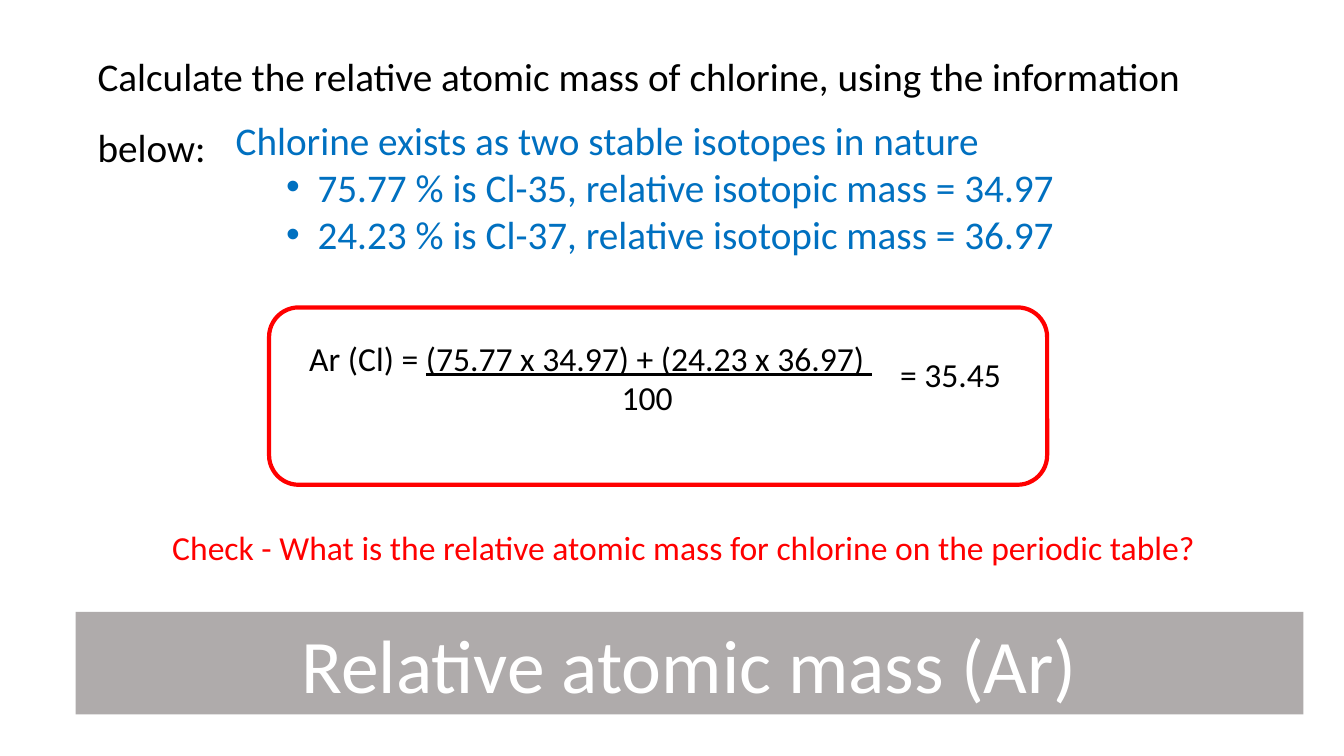
import pptx
import pptx.dml.color
import pptx.enum.shapes
import pptx.enum.text
import pptx.oxml.ns
import pptx.util
from lxml import etree

Pt = pptx.util.Pt
SHAPE = pptx.enum.shapes.MSO_SHAPE
ANCHOR = pptx.enum.text.MSO_ANCHOR
ALIGN = pptx.enum.text.PP_ALIGN

# Content: a paragraph is a list of (text, underlined) runs
TITLE = [[("Relative atomic mass (Ar)", False)]]
TASK = [[("Calculate the relative atomic mass of chlorine, using the information below:", False)]]
FRACTION_TOP = [[("Ar (Cl) = ", False), ("(75.77 x 34.97) + (24.23 x 36.97) ", True)]]
FRACTION_BOTTOM = [[("100", False)]]
RESULT = [[("= 35.45", False)]]
CHECK = [[("Check - What is the relative atomic mass for chlorine on the periodic table?", False)]]
ISOTOPE_INTRO = "Chlorine exists as two stable isotopes in nature"
ISOTOPES = [("75.77", 35, "34.97"), ("24.23", 37, "36.97")]
ISOTOPE_LINES = [[(ISOTOPE_INTRO, False)]] + [
    [(f"{share} % is Cl-{number}, relative isotopic mass = {mass}", False)]
    for share, number, mass in ISOTOPES
]

# Places: left, top, width, height in points
TITLE_BAR = (54, 437, 877, 73.4)
ANSWER_FRAME = (192.2, 219.6, 555.8, 126.7)
TEXT_BOXES = [
    (TASK, (62.6, 17.3, 860.4, 103.7), dict(size=28, spacing=1.5)),
    (FRACTION_TOP, (213.8, 237.6, 826.6, 36), {}),
    (FRACTION_BOTTOM, (437, 265.7, 97.2, 36), {}),
    (RESULT, (635.8, 249.1, 395.3, 36), {}),
    (CHECK, (115.9, 373, 779, 36), dict(color="FF0000")),
    (ISOTOPE_LINES, (161.3, 79.2, 689, 108.7),
     dict(size=28, color="0070C0", bullets_from=1)),
]


def rgb(value):
    return pptx.dml.color.RGBColor.from_string(value)


def add_bullet(paragraph):
    paragraph.level = 1
    properties = paragraph._p.get_or_add_pPr()
    properties.set("marL", str(Pt(58.5)))
    properties.set("indent", str(Pt(-22.5)))
    for tag, attribute, value in (("a:buFont", "typeface", "Arial"),
                                  ("a:buChar", "char", "•")):
        element = etree.SubElement(properties, pptx.oxml.ns.qn(tag))
        element.set(attribute, value)


def write_text(shape, paragraphs, size=24, color="000000", spacing=None,
               align=ALIGN.LEFT, anchor=ANCHOR.TOP, bullets_from=None):
    frame = shape.text_frame
    frame.word_wrap = True
    frame.vertical_anchor = anchor
    for index, runs in enumerate(paragraphs):
        paragraph = frame.add_paragraph() if index else frame.paragraphs[0]
        paragraph.alignment = align
        if spacing:
            paragraph.line_spacing = spacing
        if bullets_from is not None and index >= bullets_from:
            add_bullet(paragraph)
        for text, underlined in runs:
            run = paragraph.add_run()
            run.text = text
            run.font.name = "Calibri"
            run.font.size = Pt(size)
            run.font.color.rgb = rgb(color)
            if underlined:
                run.font.underline = True


def add_panel(slide, kind, place, fill=None, line=None):
    shape = slide.shapes.add_shape(kind, *map(Pt, place))
    shape.shadow.inherit = False
    if fill:
        shape.fill.solid()
        shape.fill.fore_color.rgb = rgb(fill)
    else:
        shape.fill.background()
    if line:
        shape.line.color.rgb = rgb(line)
        shape.line.width = Pt(3)
    else:
        shape.line.fill.background()
    return shape


def main():
    presentation = pptx.Presentation()
    presentation.slide_width = Pt(960)
    presentation.slide_height = Pt(540)
    slide = presentation.slides.add_slide(presentation.slide_layouts[6])

    # Title bar and answer frame
    title_bar = add_panel(slide, SHAPE.RECTANGLE, TITLE_BAR, fill="AFABAB")
    write_text(title_bar, TITLE, size=54, color="FFFFFF", spacing=0.9,
               align=ALIGN.CENTER, anchor=ANCHOR.BOTTOM)
    add_panel(slide, SHAPE.ROUNDED_RECTANGLE, ANSWER_FRAME, line="FF0000")

    # Task, calculation, check and isotope data
    for paragraphs, place, text_format in TEXT_BOXES:
        box = slide.shapes.add_textbox(*map(Pt, place))
        write_text(box, paragraphs, **text_format)

    presentation.save("out.pptx")


if __name__ == "__main__":
    main()
